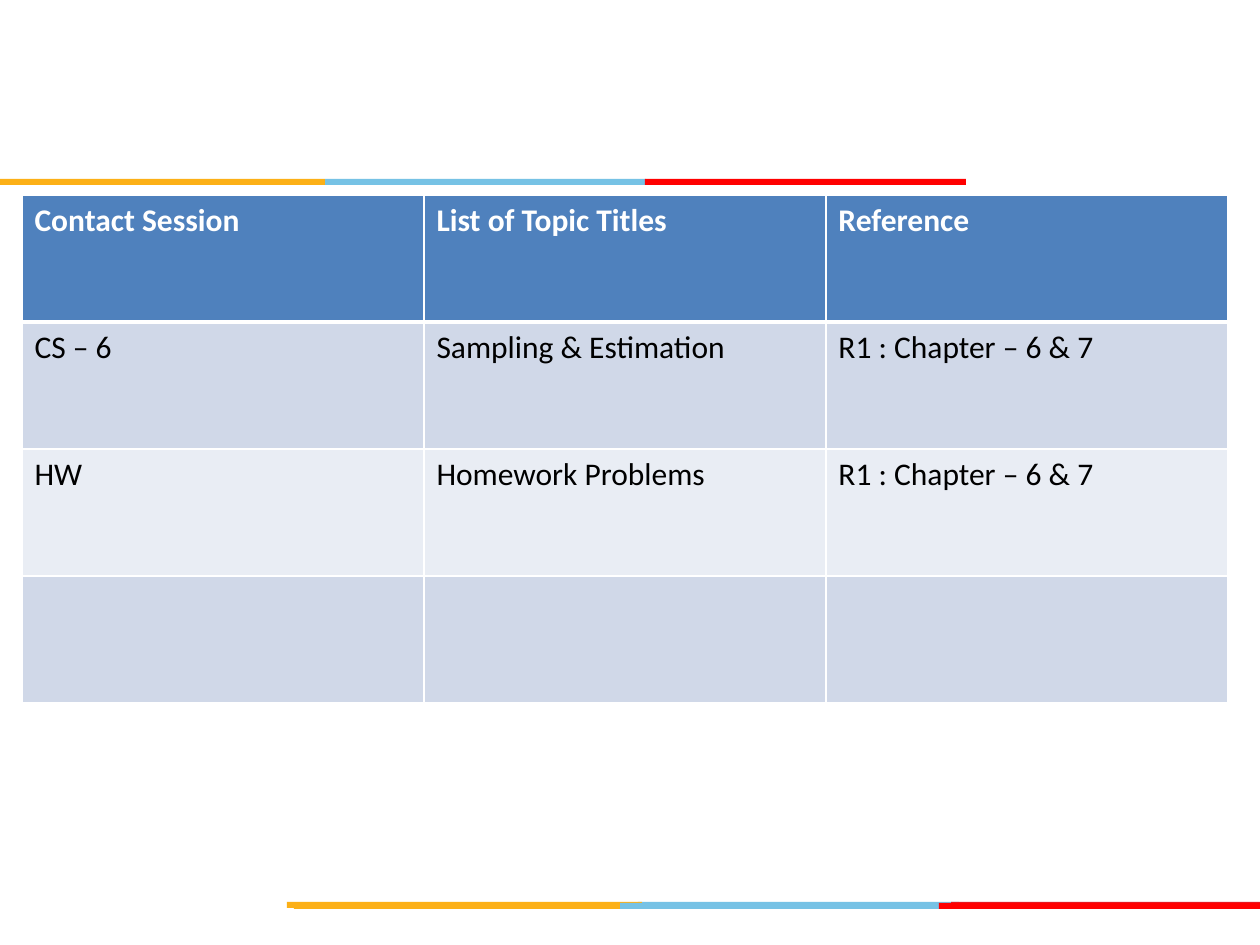
"""Build a session plan slide with a table between two tricolour rules."""
from lxml.etree import SubElement
from pptx import Presentation
from pptx.dml.color import RGBColor
from pptx.enum.shapes import MSO_SHAPE
from pptx.oxml.ns import qn
from pptx.util import Pt

SCALE = 914400 / 126
AMBER, SKY, CRIMSON, RED = "FCB017", "76C2E5", "E31C24", "FF0000"
WHITE, BLACK = "FFFFFF", "000000"
HEADER_FILL, BAND_FILLS = "4F81BD", ("D0D8E8", "E9EDF4")

BAR_HEIGHT = 6
BARS = [
    (902, [(638, 321, SKY), (951, 309, CRIMSON), (287, 355, AMBER)]),
    (903, [(620, 321, SKY), (294, 326, AMBER), (939, 321, RED)]),
    (179, [(325, 321, SKY), (0, 325, AMBER), (645, 321, RED)]),
]

TABLE_BOX = (22, 195, 1206, 508)
ROWS = [
    ("Contact Session", "List of Topic Titles", "Reference"),
    ("CS – 6", "Sampling & Estimation", "R1 : Chapter – 6 & 7"),
    ("HW", "Homework Problems", "R1 : Chapter – 6 & 7"),
    ("", "", ""),
]


def px(length):
    return round(length * SCALE)


def color(value):
    return RGBColor.from_string(value)


def add_bar(slide, left, top, width, fill):
    shape = slide.shapes.add_shape(
        MSO_SHAPE.RECTANGLE, px(left), px(top), px(width), px(BAR_HEIGHT))
    shape.shadow.inherit = False
    shape.fill.solid()
    shape.fill.fore_color.rgb = color(fill)
    shape.line.fill.background()


def set_borders(cell, top, bottom):
    properties = cell._tc.get_or_add_tcPr()
    for side, points in (("L", 1), ("R", 1), ("T", top), ("B", bottom)):
        line = SubElement(properties, qn(f"a:ln{side}"), w=str(Pt(points)))
        fill = SubElement(line, qn("a:solidFill"))
        SubElement(fill, qn("a:srgbClr"), val=WHITE)


def format_cell(cell, text, row):
    header = row == 0
    set_borders(cell, top=3 if row == 1 else 1, bottom=3 if header else 1)
    cell.fill.solid()
    cell.fill.fore_color.rgb = color(
        HEADER_FILL if header else BAND_FILLS[(row - 1) % 2])
    cell.text = text
    font = cell.text_frame.paragraphs[0].font
    font.name, font.size, font.bold = "Calibri", Pt(18), header
    font.color.rgb = color(WHITE if header else BLACK)


def add_session_table(slide):
    left, top, width, height = map(px, TABLE_BOX)
    table = slide.shapes.add_table(
        len(ROWS), len(ROWS[0]), left, top, width, height).table
    for row, texts in enumerate(ROWS):
        for column, text in enumerate(texts):
            format_cell(table.cell(row, column), text, row)


def main():
    presentation = Presentation()
    presentation.slide_width, presentation.slide_height = px(1260), px(945)
    slide = presentation.slides.add_slide(presentation.slide_layouts[6])
    for top, bars in BARS:
        for left, width, fill in bars:
            add_bar(slide, left, top, width, fill)
    add_session_table(slide)
    presentation.save("out.pptx")


if __name__ == "__main__":
    main()
